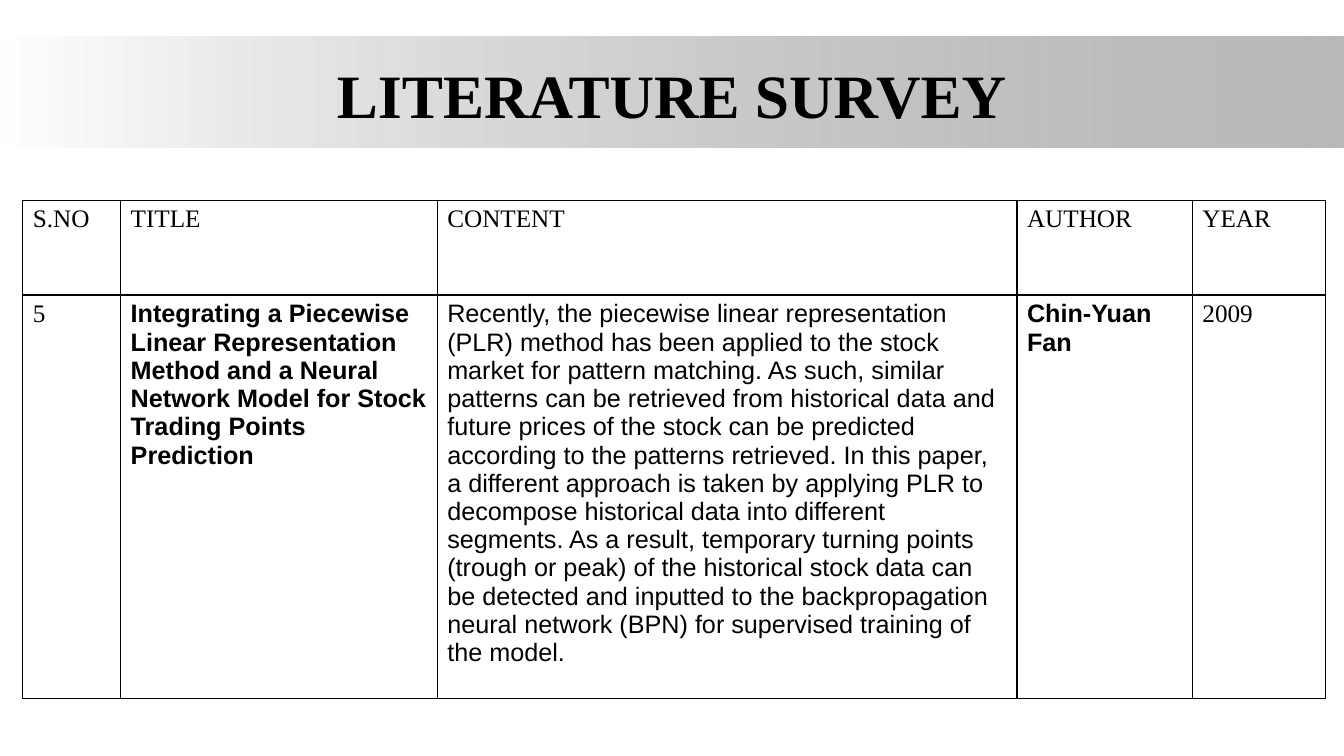
from dataclasses import dataclass

from lxml import etree
from pptx import Presentation
from pptx import util as u
from pptx.dml.color import RGBColor
from pptx.enum import shapes, text
from pptx.oxml import ns

WIDTH, HEIGHT = u.Inches(13.33), u.Inches(7.5)
SERIF, SANS = "Times New Roman", "Arial"
BLACK, WHITE, GREY = "000000", "FFFFFF", "808080"


@dataclass
class Area:
    """A rectangle in shares of the slide's width and height."""
    left: float
    top: float
    width: float
    height: float

    def lengths(self) -> tuple:
        return (int(WIDTH * self.left), int(HEIGHT * self.top),
                int(WIDTH * self.width), int(HEIGHT * self.height))


@dataclass
class Entry:
    wording: str
    font: str = SERIF
    bold: bool = False


@dataclass
class Column:
    width: float  # inches
    heading: Entry
    paper: Entry


BAND = Area(0, 0.048, 1, 0.147)
TITLE = Area(0.05, 0.04, 0.9, 0.167)
TABLE = Area(0.017, 0.265, 0.969, 0.603)
ROW_HEIGHTS = (0.94, 3.58)

COLUMNS = [
    Column(0.97, Entry("S.NO"), Entry("5")),
    Column(3.14, Entry("TITLE"), Entry(
        "Integrating a Piecewise Linear Representation Method and a Neural "
        "Network Model for Stock Trading Points Prediction", SANS, True)),
    Column(5.75, Entry("CONTENT"), Entry(
        "Recently, the piecewise linear representation (PLR) method has been "
        "applied to the stock market for pattern matching. As such, similar "
        "patterns can be retrieved from historical data and future prices of "
        "the stock can be predicted according to the patterns retrieved. In "
        "this paper, a different approach is taken by applying PLR to "
        "decompose historical data into different segments. As a result, "
        "temporary turning points (trough or peak) of the historical stock "
        "data can be detected and inputted to the backpropagation neural "
        "network (BPN) for supervised training of the model.", SANS)),
    Column(1.74, Entry("AUTHOR"), Entry("Chin-Yuan Fan", SANS, True)),
    Column(1.32, Entry("YEAR"), Entry("2009")),
]


def colour(value: str) -> RGBColor:
    return RGBColor.from_string(value)


def write(frame, entry: Entry, size: float) -> None:
    frame.text = entry.wording
    for span in frame.paragraphs[0].runs:
        span.font.name = entry.font
        span.font.size = u.Pt(size)
        span.font.bold = entry.bold
        span.font.color.rgb = colour(BLACK)


def add_band(page) -> None:
    band = page.shapes.add_shape(shapes.MSO_SHAPE.RECTANGLE, *BAND.lengths())
    band.shadow.inherit = False
    band.line.fill.background()
    band.fill.gradient()
    band.fill.gradient_angle = 0
    for stop, position, shade in zip(band.fill.gradient_stops, (0, 1), (WHITE, GREY)):
        stop.position = position
        stop.color.rgb = colour(shade)
    grey = band.element.spPr.findall(".//" + ns.qn("a:srgbClr"))[-1]
    etree.SubElement(grey, ns.qn("a:alpha"), val="54000")


def add_title(page) -> None:
    box = page.shapes.add_textbox(*TITLE.lengths())
    frame = box.text_frame
    frame.word_wrap = True
    frame.vertical_anchor = text.MSO_ANCHOR.MIDDLE
    write(frame, Entry("LITERATURE SURVEY", bold=True), 44)
    frame.paragraphs[0].alignment = text.PP_ALIGN.CENTER


def add_borders(cell) -> None:
    properties = cell._tc.get_or_add_tcPr()
    for side in ("lnL", "lnR", "lnT", "lnB"):
        line = etree.SubElement(properties, ns.qn(f"a:{side}"), w=str(u.Pt(1)))
        fill = etree.SubElement(line, ns.qn("a:solidFill"))
        etree.SubElement(fill, ns.qn("a:srgbClr"), val=BLACK)


def add_survey(page) -> None:
    frame = page.shapes.add_table(len(ROW_HEIGHTS), len(COLUMNS), *TABLE.lengths())
    table = frame.table
    table.first_row = table.horz_banding = False
    for row, height in zip(table.rows, ROW_HEIGHTS):
        row.height = u.Inches(height)
    for index, column in enumerate(COLUMNS):
        table.columns[index].width = u.Inches(column.width)
        for row, entry in enumerate((column.heading, column.paper)):
            cell = table.cell(row, index)
            write(cell.text_frame, entry, 18)
            add_borders(cell)
            cell.fill.background()


def main() -> None:
    deck = Presentation()
    deck.slide_width, deck.slide_height = WIDTH, HEIGHT
    page = deck.slides.add_slide(deck.slide_layouts[6])
    add_band(page)
    add_title(page)
    add_survey(page)
    deck.save("out.pptx")


if __name__ == "__main__":
    main()
